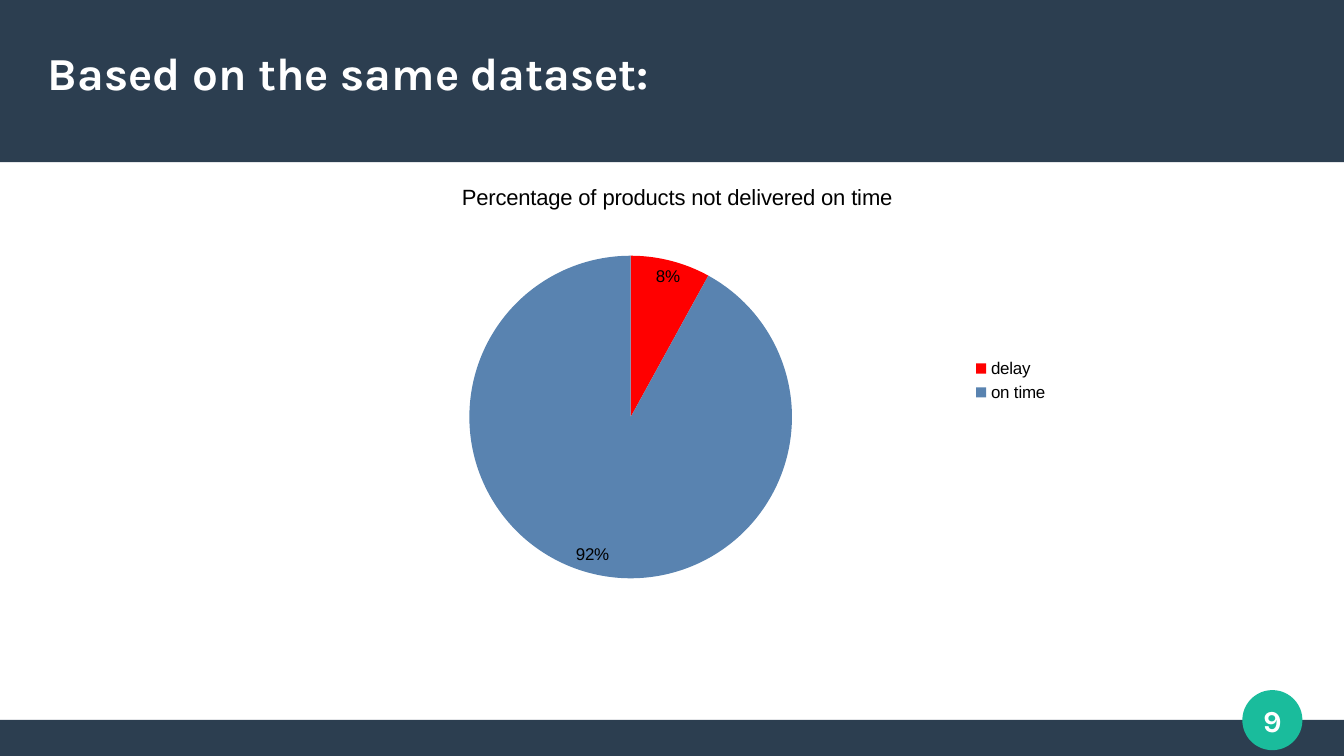
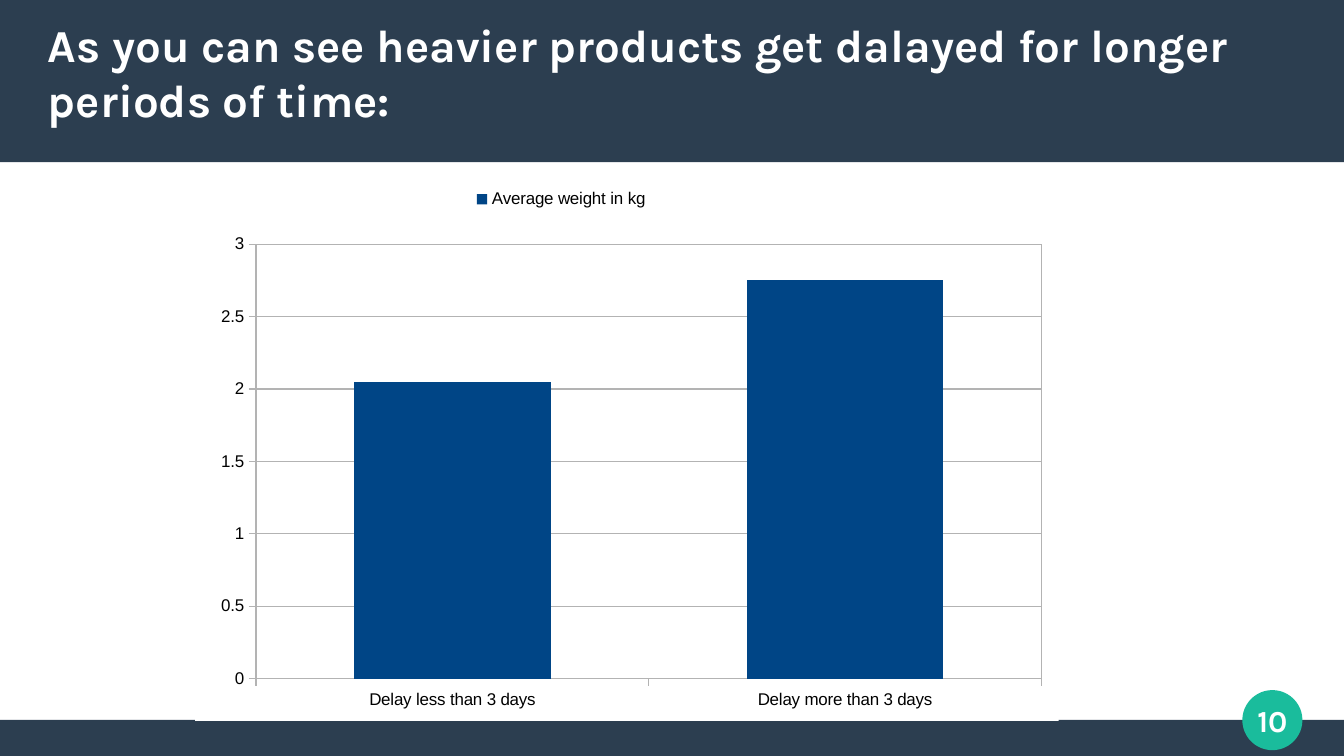
from pptx import Presentation
from pptx.chart.data import CategoryChartData
from pptx.dml.color import RGBColor
from pptx.enum import chart as charts, shapes, text
from pptx.oxml import parse_xml
from pptx.oxml.ns import nsdecls, qn
from pptx.util import Pt

COLOURS = {
    "band": "2C3E50", "badge": "1ABC9C", "white": "FFFFFF", "black": "000000",
    "delay": "FF0000", "on_time": "5983B0", "weight": "004586", "grid": "B3B3B3",
}
WIDTH, HEIGHT = 793.5, 446.4
HEADER, FOOTER = 95.8, 21.4


def colour(name):
    return RGBColor.from_string(COLOURS[name])


def set_all(target, values):
    for name, value in values.items():
        setattr(target, name, value)


def layout_xml(left, top, width=None, height=None, target=None):
    """Manual chart layout, as fractions of the chart's size."""
    sizes = {"x": left, "y": top, "w": width, "h": height}
    parts = f'<c:layoutTarget val="{target}"/>' if target else ""
    parts += '<c:xMode val="edge"/><c:yMode val="edge"/>'
    parts += "".join(f'<c:{key} val="{value}"/>'
                     for key, value in sizes.items() if value is not None)
    return parse_xml(f'<c:layout {nsdecls("c")}><c:manualLayout>{parts}'
                     '</c:manualLayout></c:layout>')


def drop_layout(parent):
    for old in parent.findall(qn("c:layout")):
        parent.remove(old)


class Deck:
    def __init__(self):
        self.deck = Presentation()
        set_all(self.deck, {"slide_width": Pt(WIDTH), "slide_height": Pt(HEIGHT)})
        self.page = None

    def new_page(self, title, number):
        self.page = self.deck.slides.add_slide(self.deck.slide_layouts[6])
        self.shape("RECTANGLE", "band", 0, HEIGHT - FOOTER, WIDTH, FOOTER)
        self.shape("RECTANGLE", "band", 0, 0, WIDTH, HEADER)
        self.shape("OVAL", "badge", 733.5, 407.5, 35.5, 35.5)
        self.label(str(number), 18, text.PP_ALIGN.CENTER, 722.9, 404, 56.7, 42.5)
        self.label(title, 27, text.PP_ALIGN.LEFT, 28.35, 14.2, 737, 56.7)

    def shape(self, kind, fill, *place):
        shape = self.page.shapes.add_shape(
            getattr(shapes.MSO_SHAPE, kind), *map(Pt, place))
        shape.shadow.inherit = False
        shape.fill.solid()
        shape.fill.fore_color.rgb = colour(fill)
        shape.line.fill.background()

    def label(self, words, size, align, *place):
        frame = self.page.shapes.add_textbox(*map(Pt, place)).text_frame
        set_all(frame, {
            "word_wrap": True, "vertical_anchor": text.MSO_ANCHOR.MIDDLE,
            "margin_left": 0, "margin_top": 0, "margin_right": 0, "margin_bottom": 0})
        para = frame.paragraphs[0]
        para.alignment = align
        span = para.add_run()
        span.text = words
        self.style_font(span.font, size, "white", "Karla", True)

    def style_font(self, font, size=10, ink="black", name="Arial", bold=False):
        set_all(font, {"size": Pt(size), "name": name, "bold": bold})
        font.color.rgb = colour(ink)

    def chart(self, kind, categories, series, values, plot, target, *place):
        """Add a one-series chart with a legend and a fixed plot area."""
        data = CategoryChartData()
        data.categories = categories
        data.add_series(series, values)
        chart = self.page.shapes.add_chart(kind, *map(Pt, place), data).chart
        self.style_font(chart.font)
        set_all(chart, {"has_title": False, "has_legend": True})
        set_all(chart.legend, {"position": charts.XL_LEGEND_POSITION.RIGHT,
                               "include_in_layout": False})
        self.style_font(chart.legend.font)
        body = chart.element.find(qn("c:chart"))
        body.addnext(parse_xml(
            f'<c:spPr {nsdecls("c", "a")}><a:solidFill><a:srgbClr '
            f'val="{COLOURS["white"]}"/></a:solidFill><a:ln><a:noFill/></a:ln></c:spPr>'))
        area = body.find(qn("c:plotArea"))
        drop_layout(area)
        area.insert(0, layout_xml(*plot, target))
        return chart

    def pie(self, title, categories, values, fills, plot, *place):
        chart = self.chart(charts.XL_CHART_TYPE.PIE, categories, "Series 1", values,
                           plot, "inner", *place)
        chart.has_title = True
        para = chart.chart_title.text_frame.paragraphs[0]
        span = para.add_run()
        span.text = title
        self.style_font(span.font, 13)
        pie = chart.plots[0]
        for index, name in enumerate(fills):
            fill = pie.series[0].points[index].format.fill
            fill.solid()
            fill.fore_color.rgb = colour(name)
        pie.has_data_labels = True
        set_all(pie.data_labels, {
            "show_percentage": True, "show_value": False, "number_format": "0%",
            "number_format_is_linked": False,
            "position": charts.XL_LABEL_POSITION.BEST_FIT})
        self.style_font(pie.data_labels.font)

    def columns(self, series, categories, values, fill_name, plot, legend_at, *place):
        chart = self.chart(charts.XL_CHART_TYPE.COLUMN_CLUSTERED, categories, series,
                           values, plot, "outer", *place)
        set_all(chart.plots[0], {"gap_width": 100, "vary_by_categories": False})
        fill = chart.plots[0].series[0].format.fill
        fill.solid()
        fill.fore_color.rgb = colour(fill_name)
        scale = chart.value_axis
        set_all(scale, {"minimum_scale": 0, "maximum_scale": 3, "major_unit": 0.5,
                        "has_major_gridlines": True})
        set_all(scale.tick_labels, {"number_format": "General",
                                    "number_format_is_linked": False})
        for axis in (chart.category_axis, scale):
            axis.major_tick_mark = charts.XL_TICK_MARK.OUTSIDE
            self.style_font(axis.tick_labels.font)
        for part in (chart.category_axis, scale, scale.major_gridlines):
            part.format.line.color.rgb = colour("grid")
            part.format.line.width = 0
        body = chart.element.find(qn("c:chart"))
        body.find(qn("c:plotArea")).append(parse_xml(
            f'<c:spPr {nsdecls("c", "a")}><a:noFill/><a:ln w="0"><a:solidFill>'
            f'<a:srgbClr val="{COLOURS["grid"]}"/></a:solidFill></a:ln></c:spPr>'))
        legend = body.find(qn("c:legend"))
        drop_layout(legend)
        legend.find(qn("c:legendPos")).addnext(layout_xml(*legend_at))

    def save(self):
        self.deck.save("out.pptx")


def main():
    deck = Deck()
    deck.new_page("Based on the same dataset:", 9)
    deck.pie("Percentage of products not delivered on time", ["delay", "on time"],
             [8, 92], ["delay", "on_time"], (0.23, 0.21, 0.42, 0.75),
             172.8, 97.2, 453.6, 254.9)
    deck.new_page("As you can see heavier products get dalayed for longer "
                  "periods of time:", 10)
    deck.columns("Average weight in kg",
                 ["Delay less than 3 days", "Delay more than 3 days"], [2.05, 2.75],
                 "weight", (0.03, 0.12, 0.95, 0.86), (0.32, 0.03),
                 115.2, 99.4, 509.8, 326.2)
    deck.save()


if __name__ == "__main__":
    main()
